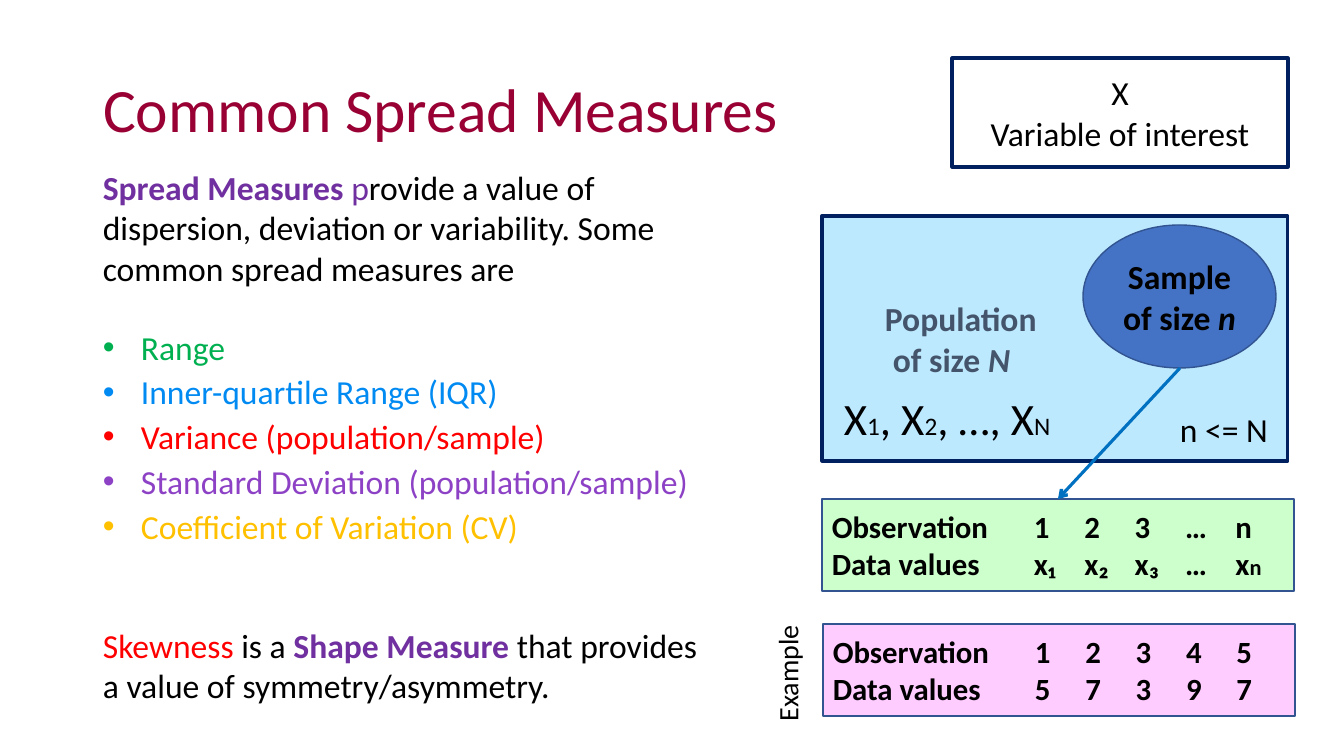
from lxml import etree
from pptx import Presentation
from pptx.dml.color import RGBColor
from pptx.enum.shapes import MSO_CONNECTOR, MSO_SHAPE
from pptx.enum.text import MSO_ANCHOR, PP_ALIGN
from pptx.oxml.ns import qn
from pptx.util import Pt

SCALE = 914400 / 100.8
LEFT, CENTER = PP_ALIGN.LEFT, PP_ALIGN.CENTER
TOP, MIDDLE = MSO_ANCHOR.TOP, MSO_ANCHOR.MIDDLE
RECT, OVAL = MSO_SHAPE.RECTANGLE, MSO_SHAPE.OVAL
STRAIGHT = MSO_CONNECTOR.STRAIGHT
FONT = "Calibri"
COLORS = {
    "wine": "990033", "purple": "7030A0", "black": "000000",
    "green": "00B050", "blue": "008AF2", "red": "FF0000",
    "violet": "8D42C6", "gold": "FFC000", "navy": "002060",
    "sky": "BDE9FF", "slate": "44546A", "oval": "4472C4",
    "edge": "325491", "mint": "CCFFCC", "pink": "FFCCFF", "arrow": "0070C0",
}


def emu(px):
    """Turn pixels into EMU."""
    return round(px * SCALE)


def color(name):
    """Look up a colour by name."""
    return RGBColor.from_string(COLORS[name])


def write(frame, lines, size, align=LEFT, anchor=TOP):
    """Write lines of (text, colour, style, size) runs; the last two may be left out."""
    frame.word_wrap = True
    frame.vertical_anchor = anchor
    for i, parts in enumerate(lines):
        para = frame.paragraphs[0] if i == 0 else frame.add_paragraph()
        para.alignment = align
        for text, ink, *more in parts:
            style, points = (more + ["", size][len(more):])
            run = para.add_run()
            run.text = text
            font = run.font
            font.name, font.size = FONT, Pt(points)
            font.bold, font.italic = "b" in style, "i" in style
            font.color.rgb = color(ink)
    return frame.paragraphs


def add_text(slide, box, lines, size=24):
    """Add a text box."""
    shape = slide.shapes.add_textbox(*map(emu, box))
    write(shape.text_frame, lines, size)
    return shape


def add_box(slide, kind, box, fill, line, width):
    """Add a preset shape with fill and outline."""
    shape = slide.shapes.add_shape(kind, *map(emu, box))
    shape.shadow.inherit = False
    if fill:
        shape.fill.solid()
        shape.fill.fore_color.rgb = color(fill)
    else:
        shape.fill.background()
    shape.line.color.rgb = color(line)
    shape.line.width = Pt(width)
    return shape


def indent(para, left, hang=0):
    """Indent a paragraph and return its properties."""
    props = para._p.get_or_add_pPr()
    props.set("marL", str(emu(left)))
    props.set("indent", str(-emu(hang)))
    return props


def add_title(slide, box):
    """Format the title placeholder."""
    title = slide.shapes.title
    title.left, title.top, title.width, title.height = map(emu, box)
    paras = write(title.text_frame, [[("Common Spread Measures", "wine")]],
                  44, LEFT, MIDDLE)
    paras[0].line_spacing = 0.9


def add_notions(slide, box):
    """Add the definition, the list of measures and the skewness text."""
    x, y, w, h = box
    add_text(slide, (x, y, w, 132), [[
        ("Spread Measures", "purple", "b"), (" p", "purple"),
        ("rovide a value of dispersion, deviation or variability. "
         "Some common spread measures are", "black")]])
    items = [("Range", "green"), ("Inner-quartile Range (IQR)", "blue"),
             ("Variance (population/sample)", "red"),
             ("Standard Deviation (population/sample)", "violet"),
             ("Coefficient of Variation (CV)", "gold")]
    names = add_text(slide, (x, y + 155, w, 234), [[item] for item in items])
    for para in names.text_frame.paragraphs:
        para.line_spacing = Pt(32)
        props = indent(para, 38, 38)
        etree.SubElement(props, qn("a:buFont"), typeface="Arial")
        etree.SubElement(props, qn("a:buChar"), char="•")
    add_text(slide, (x, y + h - 92, w, 92), [[
        ("Skewness", "red"), (" is a ", "black"),
        ("Shape Measure", "purple", "b"),
        (" that provides a value of symmetry/asymmetry.", "black")]])


def add_topic(slide, box):
    """Add the variable box."""
    shape = add_box(slide, RECT, box, None, "navy", 2.25)
    write(shape.text_frame, [[("X", "black")], [("Variable of interest", "black")]],
          24, CENTER, MIDDLE)


def add_people(slide, box):
    """Add the population with its sample."""
    x, y, w, h = box
    shape = add_box(slide, RECT, box, "sky", "navy", 2.25)
    paras = write(shape.text_frame, [
        [("Population", "slate", "b")],
        [("of size ", "slate", "b"), ("N", "slate", "bi")]], 24, LEFT, MIDDLE)
    for para, left in zip(paras, (53, 61)):
        indent(para, left)
    oval = add_box(slide, OVAL, (x + 261, y + 9, 193, 143), "oval", "edge", 1)
    write(oval.text_frame, [[("Sample of size ", "black", "b"),
                             ("n", "black", "bi")]], 24, CENTER, MIDDLE)
    series = []
    for text, mark in (("X", "1"), (", X", "2"), (", …, X", "N")):
        series += [(text, "black"), (mark, "black", "", 18)]
    add_text(slide, (x + 12, y + 170, 229, 65), [series], 32)
    add_text(slide, (x + 348, y + 188, 126, 50), [[("n <= N", "black")]])


def add_data(slide, box, fill, marks, values, sub=""):
    """Add a box of observations and values set on even tab stops."""
    shape = add_box(slide, RECT, box, fill, "edge", 1)
    rows = [[("\t".join(["Observation"] + marks), "black", "b")],
            [("\t".join(["Data values"] + values), "black", "b")]]
    if sub:
        rows[1].append((sub, "black", "b", 16))
    for para in write(shape.text_frame, rows, 22, LEFT, MIDDLE):
        tabs = etree.SubElement(para._p.get_or_add_pPr(), qn("a:tabLst"))
        for i in range(len(marks)):
            etree.SubElement(tabs, qn("a:tab"), pos=str(emu(202 + 50.4 * i)), algn="l")


def add_arrow(slide, start, end):
    """Add the arrow from the sample to its data."""
    line = slide.shapes.add_connector(STRAIGHT, *map(emu, start + end))
    line.line.color.rgb = color("arrow")
    line.line.width = Pt(2.25)
    etree.SubElement(line.line._get_or_add_ln(), qn("a:tailEnd"), type="arrow")
    etree.SubElement(line._element.spPr, qn("a:effectLst"))


def main():
    """Build and save the slide."""
    deck = Presentation()
    deck.slide_width, deck.slide_height = emu(1344), emu(756)
    slide = deck.slides.add_slide(deck.slide_layouts[5])
    add_title(slide, (93, 40, 752, 146))
    add_notions(slide, (93, 162, 616, 550))
    add_topic(slide, (952, 58, 336, 109))
    add_people(slide, (822, 216, 466, 245))
    add_data(slide, (822, 499, 472, 92), "mint", ["1", "2", "3", "…", "n"],
             ["x₁", "x₂", "x₃", "…", "x"], "n")
    add_arrow(slide, (1180, 368), (1058, 499))
    add_data(slide, (823, 624, 472, 92), "pink", list("12345"), list("57397"))
    label = add_text(slide, (713, 635, 149, 44), [[("Example", "black")]], 20)
    label.rotation = 270
    deck.save("out.pptx")


main()
